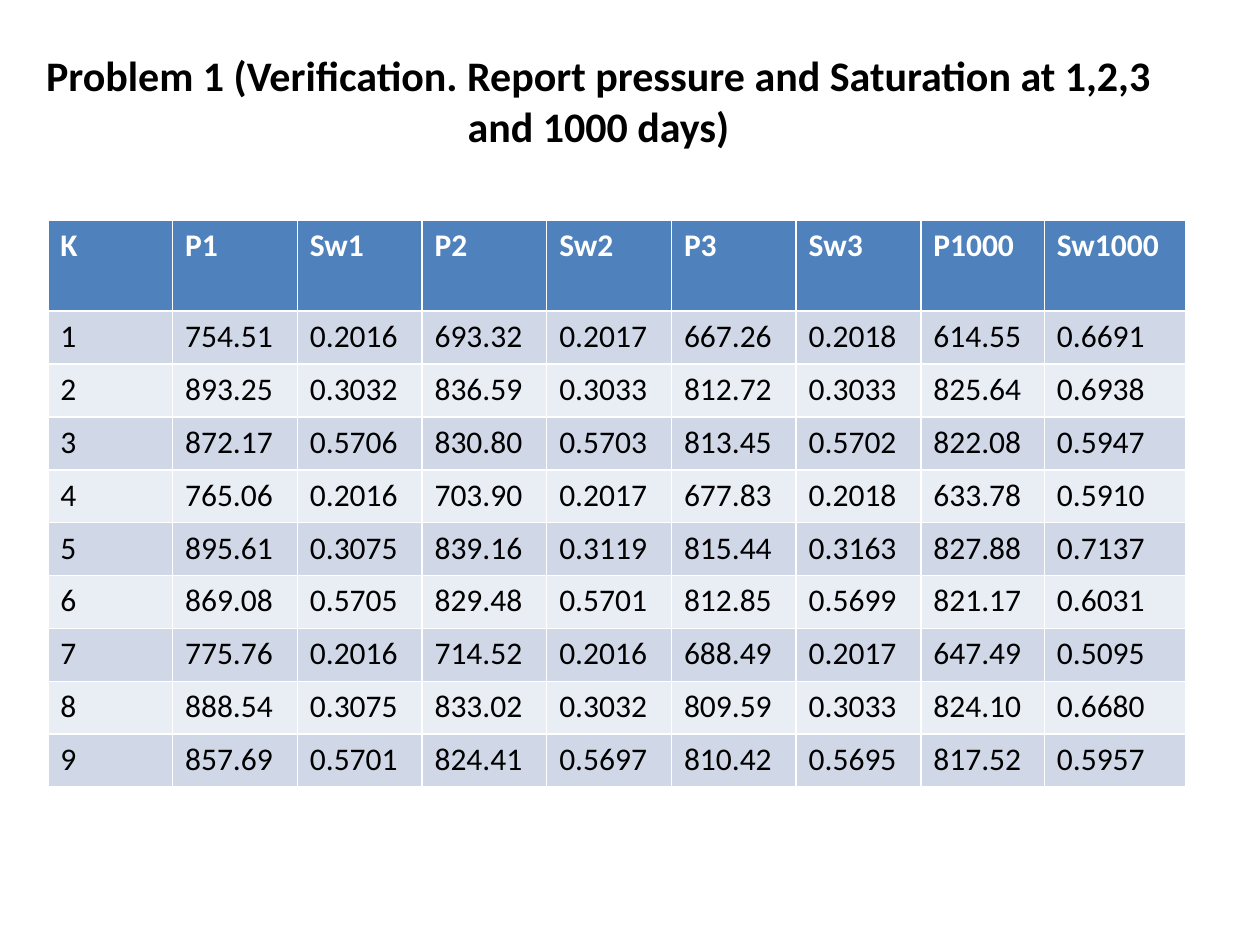
"""Build a slide with a table of pressure and saturation by cell and day."""
from pptx import Presentation
from pptx.dml.color import RGBColor
from pptx.enum.text import MSO_ANCHOR, PP_ALIGN
from pptx.util import Inches, Pt

CENTER, MIDDLE = PP_ALIGN.CENTER, MSO_ANCHOR.MIDDLE
FONT = "Calibri"
BLACK = RGBColor(0x00, 0x00, 0x00)
WHITE = RGBColor(0xFF, 0xFF, 0xFF)
HEADER = RGBColor(0x4F, 0x81, 0xBD)
BANDS = (RGBColor(0xE9, 0xED, 0xF4), RGBColor(0xD0, 0xD8, 0xE8))

TITLE = "Problem 1 (Verification. Report pressure and Saturation at 1,2,3 and 1000 days)"
ROWS = [
    ("K", "P1", "Sw1", "P2", "Sw2", "P3", "Sw3", "P1000", "Sw1000"),
    ("1", "754.51", "0.2016", "693.32", "0.2017", "667.26", "0.2018", "614.55", "0.6691"),
    ("2", "893.25", "0.3032", "836.59", "0.3033", "812.72", "0.3033", "825.64", "0.6938"),
    ("3", "872.17", "0.5706", "830.80", "0.5703", "813.45", "0.5702", "822.08", "0.5947"),
    ("4", "765.06", "0.2016", "703.90", "0.2017", "677.83", "0.2018", "633.78", "0.5910"),
    ("5", "895.61", "0.3075", "839.16", "0.3119", "815.44", "0.3163", "827.88", "0.7137"),
    ("6", "869.08", "0.5705", "829.48", "0.5701", "812.85", "0.5699", "821.17", "0.6031"),
    ("7", "775.76", "0.2016", "714.52", "0.2016", "688.49", "0.2017", "647.49", "0.5095"),
    ("8", "888.54", "0.3075", "833.02", "0.3032", "809.59", "0.3033", "824.10", "0.6680"),
    ("9", "857.69", "0.5701", "824.41", "0.5697", "810.42", "0.5695", "817.52", "0.5957"),
]
COL_WIDTHS = [0.99] * 7 + [0.98, 1.12]
ROW_HEIGHTS = [0.72] + [0.42] * 9


def style_text(tf, size, color, bold):
    for r in tf.paragraphs[0].runs:
        r.font.name = FONT
        r.font.size = Pt(size)
        r.font.bold = bold
        r.font.color.rgb = color


def add_title(s):
    sp = s.shapes.title
    sp.left, sp.top, sp.width, sp.height = map(Inches, (0.25, 0.17, 9, 1.25))
    tf = sp.text_frame
    tf.text = TITLE
    tf.word_wrap = True
    tf.vertical_anchor = MIDDLE
    tf.paragraphs[0].alignment = CENTER
    style_text(tf, 24, BLACK, True)


def add_results(s):
    table = s.shapes.add_table(
        len(ROWS), len(COL_WIDTHS), Inches(0.38), Inches(1.75),
        Inches(sum(COL_WIDTHS)), Inches(sum(ROW_HEIGHTS))).table
    for column, width in zip(table.columns, COL_WIDTHS):
        column.width = Inches(width)
    for i, (row, values) in enumerate(zip(table.rows, ROWS)):
        row.height = Inches(ROW_HEIGHTS[i])
        is_header = i == 0
        for cell, value in zip(row.cells, values):
            cell.text_frame.text = value
            style_text(cell.text_frame, 18, WHITE if is_header else BLACK, is_header)
            cell.fill.solid()
            cell.fill.fore_color.rgb = HEADER if is_header else BANDS[i % 2]


def main():
    prs = Presentation()
    prs.slide_width, prs.slide_height = Inches(10), Inches(7.5)
    s = prs.slides.add_slide(prs.slide_layouts.get_by_name("Title Only"))
    add_title(s)
    add_results(s)
    prs.save("out.pptx")


if __name__ == "__main__":
    main()
